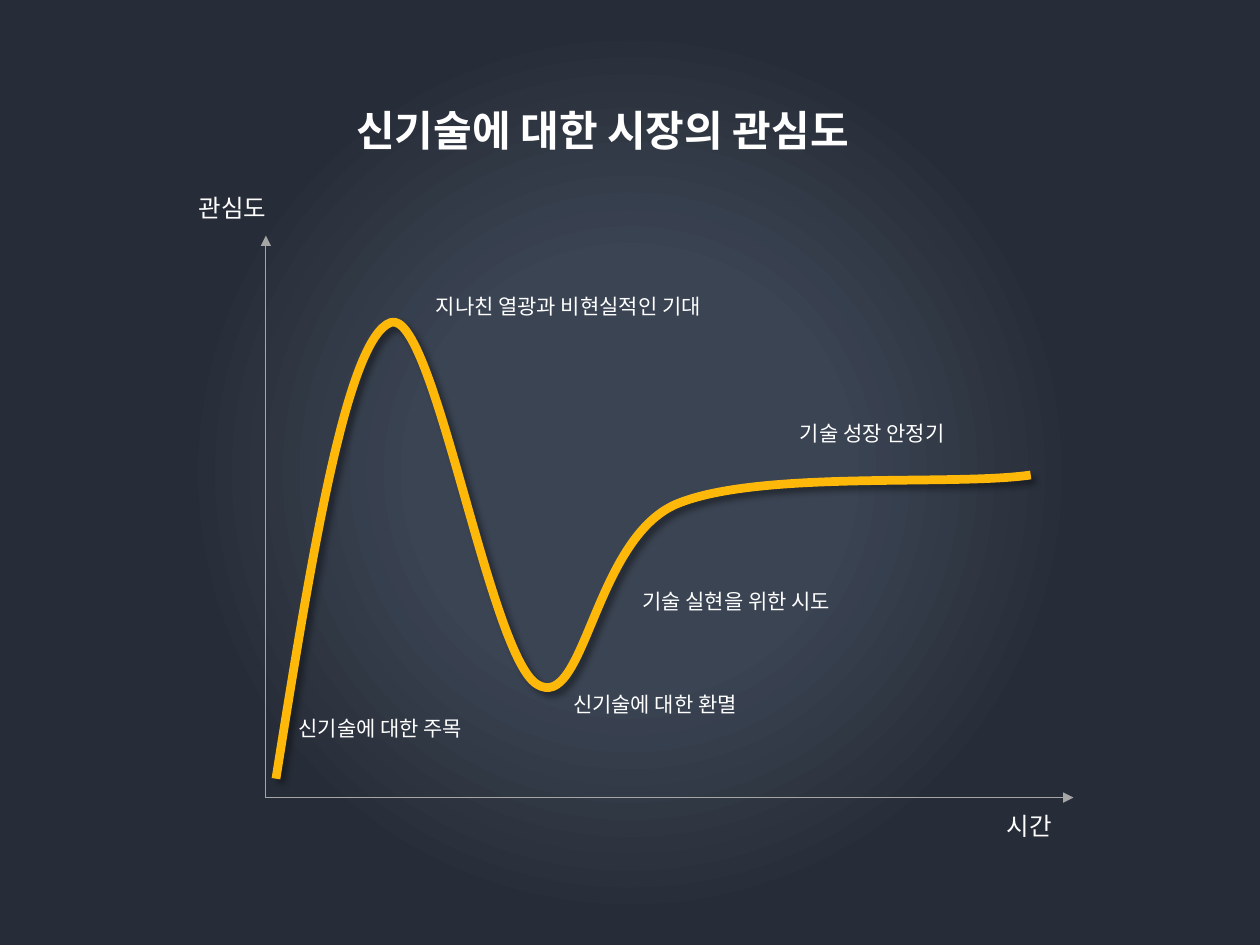
from lxml.etree import SubElement
from pptx import Presentation
from pptx.dml.color import RGBColor
from pptx.enum.shapes import MSO_CONNECTOR
from pptx.enum.text import MSO_AUTO_SIZE
from pptx.oxml.ns import qn
from pptx.util import Inches, Pt

INK = {"glow": "3B4453", "night": "272D38", "text": "FFFFFF",
       "curve": "FEB80A", "axis": "A6A6A6", "shade": "000000"}
COLS, ROWS = 100, 75
WIDE, HIGH = Inches(10), Inches(7.5)
NOTO, KARLA = "Noto Sans CJK KR", "Karla"
ORIGIN = (21.1, 63.3)
CURVE = [(21.9, 61.8),
         (24.7, 44.3), (27.5, 26.9), (31, 25.6),
         (34.4, 24.4), (38.8, 51.9), (42.6, 54.3),
         (46.4, 56.7), (47.1, 42.8), (53.7, 40),
         (60.2, 37.3), (75.6, 38.6), (81.8, 37.7)]
LABELS = [(27.3, 7.8, 51.6, 5, 24, [("신기술에 대한 시장의 관심도", NOTO)]),
          (78.9, 63.9, 12.5, 3.4, 14, [("시간", NOTO)]),
          (14.8, 14.8, 18, 3.4, 14, [("관심도", NOTO)]),
          (22.7, 56.3, 21.1, 3, 12, [("신기술에 대한 주목", KARLA)]),
          (33.6, 22.8, 30.5, 3, 12, [("지나친 열광과 비현실적인 기대", NOTO)]),
          (44.5, 54.4, 26.6, 3, 12, [("신", KARLA), ("기술에 대한 환멸", NOTO)]),
          (50, 46.2, 28.1, 3, 12, [("기술 실현을 위한 시도", KARLA)]),
          (62.5, 32.9, 25.8, 3, 12, [("기술 ", KARLA), ("성장 안정기", NOTO)])]


def place(col, row):
    """Turn a grid position into slide lengths."""
    return round(WIDE * col / COLS), round(HIGH * row / ROWS)


def color(name):
    """Look up a named colour."""
    return RGBColor.from_string(INK[name])


def paint(slide):
    """Fill the background with a round glow."""
    fill = slide.background.fill
    fill.gradient()
    for stop, name, share in zip(fill.gradient_stops, ("glow", "night"), (0.27, 0.57)):
        stop.color.rgb = color(name)
        stop.position = share
    grad = slide.background._cSld.find(".//" + qn("a:gradFill"))
    grad.remove(grad.find(qn("a:lin")))
    ring = SubElement(grad, qn("a:path"), path="circle")
    SubElement(ring, qn("a:fillToRect"), {side: "50000" for side in "ltrb"})


def face(font, name):
    """Set the Latin face of a font and its Korean face."""
    font.name = name
    SubElement(font._element, qn("a:ea"), typeface=NOTO)


def label(slide, col, row, wide, high, size, parts):
    """Add a line of text made of parts with their own faces."""
    box = slide.shapes.add_textbox(*place(col, row), *place(wide, high))
    frame = box.text_frame
    frame.word_wrap = True
    frame.auto_size = MSO_AUTO_SIZE.SHAPE_TO_FIT_TEXT
    para = frame.paragraphs[0]
    para.font.size = Pt(size)
    para.font.bold = size > 20
    para.font.color.rgb = color("text")
    if len(parts) == 1:
        face(para.font, parts[0][1])
    for text, name in parts:
        run = para.add_run()
        run.text = text
        if len(parts) > 1:
            face(run.font, name)


def axis(slide, end):
    """Draw an arrow from the origin to its end."""
    line = slide.shapes.add_connector(MSO_CONNECTOR.STRAIGHT, *place(*ORIGIN), *place(*end))
    line.line.color.rgb = color("axis")
    line.line.width = Pt(0.5)
    SubElement(line.line._get_or_add_ln(), qn("a:tailEnd"), type="triangle")
    SubElement(line._element.spPr, qn("a:effectLst"))


def bend(shape):
    """Join each three straight steps into one cubic curve."""
    steps = list(shape._element.iter(qn("a:lnTo")))
    track = steps[0].getparent()
    for first in range(0, len(steps), 3):
        arc = SubElement(track, qn("a:cubicBezTo"))
        for step in steps[first:first + 3]:
            arc.append(step[0])
            track.remove(step)


def shade(shape):
    """Give a shape a soft shadow to the lower right."""
    shape.shadow.inherit = False
    effects = shape._element.spPr.find(qn("a:effectLst"))
    cast = SubElement(effects, qn("a:outerShdw"), blurRad=str(Pt(4)), dist=str(Pt(4)),
                      dir="2700000", algn="tl", rotWithShape="0")
    tint = SubElement(cast, qn("a:srgbClr"), val=INK["shade"])
    SubElement(tint, qn("a:alpha"), val="40000")


def curve(slide):
    """Draw the curve of interest over time."""
    start, *rest = [place(*point) for point in CURVE]
    pen = slide.shapes.build_freeform(*start)
    pen.add_line_segments(rest, close=False)
    shape = pen.convert_to_shape()
    bend(shape)
    shape.fill.background()
    shape.line.color.rgb = color("curve")
    shape.line.width = Pt(5)
    shade(shape)


def main():
    """Build the slide and save it."""
    deck = Presentation()
    deck.slide_width, deck.slide_height = WIDE, HIGH
    slide = deck.slides.add_slide(deck.slide_layouts[6])
    paint(slide)
    curve(slide)
    for end in ((85.2, ORIGIN[1]), (ORIGIN[0], 18.7)):
        axis(slide, end)
    for item in LABELS:
        label(slide, *item)
    deck.save("out.pptx")


if __name__ == "__main__":
    main()
